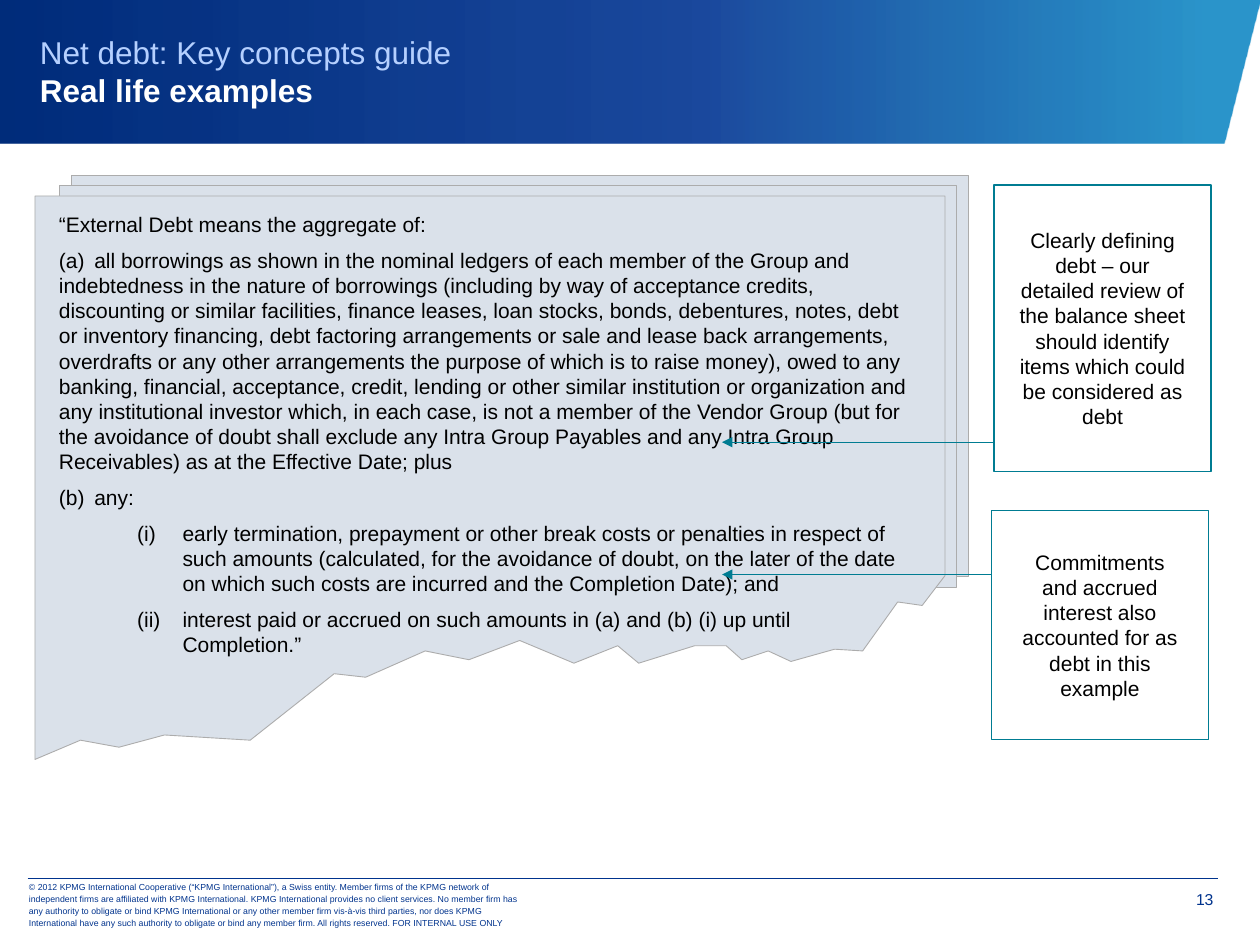
from lxml import etree
from pptx import Presentation
from pptx import util as u
from pptx.dml.color import RGBColor
from pptx.enum import shapes, text
from pptx.oxml.ns import qn

Pt = u.Pt
NAVY, TEAL, PAPER, EDGE = "00338D", "007C92", "DAE1EA", "ACACAC"


def rgb(value):
    return RGBColor.from_string(value)


def write(sp, paragraphs, frame, para, font, color):
    """Fill a shape with text; each paragraph is a list of runs."""
    tf = sp.text_frame
    for key, value in {"word_wrap": True, **frame}.items():
        setattr(tf, key, value)
    for i, runs in enumerate(paragraphs):
        p = tf.paragraphs[0] if i == 0 else tf.add_paragraph()
        for key, value in para.items():
            if i or key != "space_before":
                setattr(p, key, value)
        for j, words in enumerate(runs):
            if j:
                p.add_line_break()
            r = p.add_run()
            r.text = words
            for key, value in {"name": "Arial", **font}.items():
                setattr(r.font, key, value)
            r.font.color.rgb = rgb(color)
    return tf


prs = Presentation()
prs.slide_width, prs.slide_height = Pt(720), Pt(540)
s = prs.slides.add_slide(prs.slide_layouts[6])

# Header band with a gradient from right to left
fb = s.shapes.build_freeform(-0.5, 81.5, scale=Pt(1))
fb.add_line_segments([(698.7, 81.5), (720, -0.5), (-0.5, 0)])
band = fb.convert_to_shape()
band.shadow.inherit = False
band.line.fill.background()
band.fill.gradient()
band.fill.gradient_angle = 180
stops = band.fill._fill._gradFill.find(qn("a:gsLst"))
for old in list(stops):
    stops.remove(old)
for pos, color, alpha in [(4, "0080C0", 83), (44, "003492", 89), (100, "002C7A", 100)]:
    gs = etree.SubElement(stops, qn("a:gs"), pos=str(pos * 1000))
    clr = etree.SubElement(gs, qn("a:srgbClr"), val=color)
    etree.SubElement(clr, qn("a:alpha"), val=str(alpha * 1000))

# Title
sp = s.shapes.add_textbox(Pt(15.8), Pt(9.4), Pt(673), Pt(62.6))
tf = write(sp, [["Net debt: Key concepts guide", "Real life examples"]],
           {"vertical_anchor": text.MSO_ANCHOR.MIDDLE}, {}, {"size": Pt(18)}, "B5D0FF")
r = tf.paragraphs[0].runs[1]
r.font.bold = True
r.font.color.rgb = rgb("FFFFFF")

# Stack of pages, the front one torn along its lower edge
pages = [s.shapes.add_shape(shapes.MSO_SHAPE.RECTANGLE, Pt(x), Pt(y), Pt(512.6), Pt(229.7))
         for x, y in [(40.8, 100), (34, 105.8)]]
torn = [(0.28, 6.03), (0.64, 5.88), (0.94, 5.93), (1.3, 5.84), (1.98, 5.87), (2.65, 5.35),
        (2.9, 5.37), (3.37, 5.16), (3.72, 5.24), (4.12, 5.08), (4.55, 5.27), (4.9, 5.13),
        (5.07, 5.26), (5.52, 5.13), (5.77, 5.13), (5.89, 5.24), (6.1, 5.16), (6.28, 5.25),
        (6.63, 5.15), (6.85, 5.17), (7.13, 4.78), (7.32, 4.8), (7.5, 4.57), (7.5, 1.55)]
fb = s.shapes.build_freeform(0.28 * 72, 1.55 * 72, scale=Pt(1))
fb.add_line_segments([(x * 72, y * 72) for x, y in torn])
pages.append(fb.convert_to_shape())
for sp in pages:
    sp.shadow.inherit = False
    sp.fill.solid()
    sp.fill.fore_color.rgb = rgb(PAPER)
    sp.line.color.rgb = rgb(EDGE)
    sp.line.width = Pt(0.5)

# Contract wording
clauses = [
    "“External Debt means the aggregate of:",
    "(a)\tall borrowings as shown in the nominal ledgers of each member of the Group and "
    "indebtedness in the nature of borrowings (including by way of acceptance credits, "
    "discounting or similar facilities, finance leases, loan stocks, bonds, debentures, notes, "
    "debt or inventory financing, debt factoring arrangements or sale and lease back "
    "arrangements, overdrafts or any other arrangements the purpose of which is to raise "
    "money), owed to any banking, financial, acceptance, credit, lending or other similar "
    "institution or organization and any institutional investor which, in each case, is not a "
    "member of the Vendor Group (but for the avoidance of doubt shall exclude any Intra Group "
    "Payables and any Intra Group Receivables) as at the Effective Date; plus",
    "(b)\tany:",
    "(i)\tearly termination, prepayment or other break costs or penalties in respect of such "
    "amounts (calculated, for the avoidance of doubt, on the later of the date on which such "
    "costs are incurred and the Completion Date); and",
    "(ii)\tinterest paid or accrued on such amounts in (a) and (b) (i) up until Completion.”",
]
sp = s.shapes.add_textbox(Pt(26.6), Pt(117.4), Pt(502.6), Pt(269.3))
tf = write(sp, [[c] for c in clauses], {}, {"space_before": Pt(6)}, {"size": Pt(12)}, "000000")
for i, p in enumerate(tf.paragraphs):
    pPr = p._p.get_or_add_pPr()
    tabs = etree.SubElement(pPr, qn("a:tabLst"))
    for pos in (20.2, 70.6):
        etree.SubElement(tabs, qn("a:tab"), pos=str(Pt(pos)), algn="l")
    if i > 2:
        p.level = 1
        pPr.set("marL", str(Pt(70.6)))
        pPr.set("indent", str(Pt(-25.9)))

# Arrows from the comments into the wording, and the footer rule
for x1, x2, y, color, width, head in [(412.6, 568, 328.3, TEAL, 0.75, True),
                                      (412.6, 568, 252.7, TEAL, 0.75, True),
                                      (15.8, 696.2, 501.8, NAVY, 0.25, False)]:
    line = s.shapes.add_connector(shapes.MSO_CONNECTOR.STRAIGHT, Pt(x1), Pt(y), Pt(x2), Pt(y))
    line.line.color.rgb = rgb(color)
    line.line.width = Pt(width)
    if head:
        etree.SubElement(line.line._get_or_add_ln(), qn("a:headEnd"), type="triangle")
    etree.SubElement(line._element.spPr, qn("a:effectLst"))

# Comment boxes
margins = {f"margin_{side}": Pt(14.4) for side in ("left", "top", "right", "bottom")}
for x, y, h, words in [
    (568.1, 105.8, 163.5, "Clearly defining debt – our detailed review of the balance sheet "
                          "should identify items which could be considered as debt"),
    (566.6, 291.6, 131, "Commitments and accrued interest also accounted for as debt in this "
                        "example"),
]:
    sp = s.shapes.add_shape(shapes.MSO_SHAPE.RECTANGLE, Pt(x), Pt(y), Pt(124), Pt(h))
    sp.shadow.inherit = False
    sp.fill.solid()
    sp.fill.fore_color.rgb = rgb("FFFFFF")
    sp.line.color.rgb = rgb(TEAL)
    sp.line.width = Pt(0.75)
    write(sp, [[words]], {"vertical_anchor": text.MSO_ANCHOR.MIDDLE, **margins},
          {"alignment": text.PP_ALIGN.CENTER}, {"size": Pt(12)}, "000000")

# Footer: copyright and page number
sp = s.shapes.add_textbox(Pt(9.4), Pt(504), Pt(298.8), Pt(25.2))
write(sp, [["© 2012 KPMG International Cooperative (“KPMG International”), a Swiss entity. Member "
            "firms of the KPMG network of independent firms are affiliated with KPMG "
            "International. KPMG International provides no client services. No member firm has "
            "any authority to obligate or bind KPMG International or any other member firm "
            "vis-à-vis third parties, nor does KPMG International have any such authority to "
            "obligate or bind any member firm. All rights reserved. FOR INTERNAL USE ONLY"]],
      {"vertical_anchor": text.MSO_ANCHOR.MIDDLE}, {"line_spacing": Pt(7)}, {"size": Pt(5)}, NAVY)
sp = s.shapes.add_textbox(Pt(653.8), Pt(502.6), Pt(39.6), Pt(22.3))
write(sp, [["13"]], {"margin_left": Pt(5.8), "margin_top": Pt(5.8), "margin_right": 0,
                     "margin_bottom": 0},
      {"alignment": text.PP_ALIGN.RIGHT}, {"size": Pt(9)}, NAVY)

prs.save("out.pptx")
